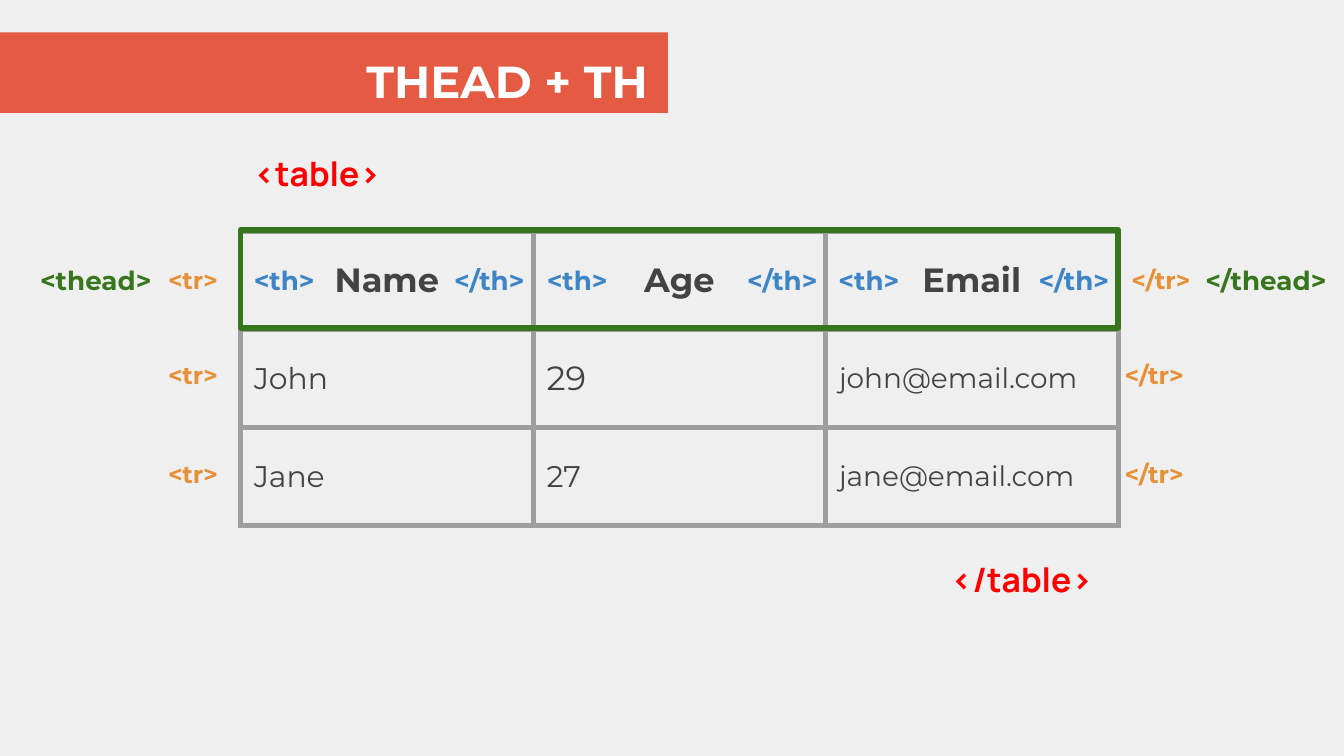
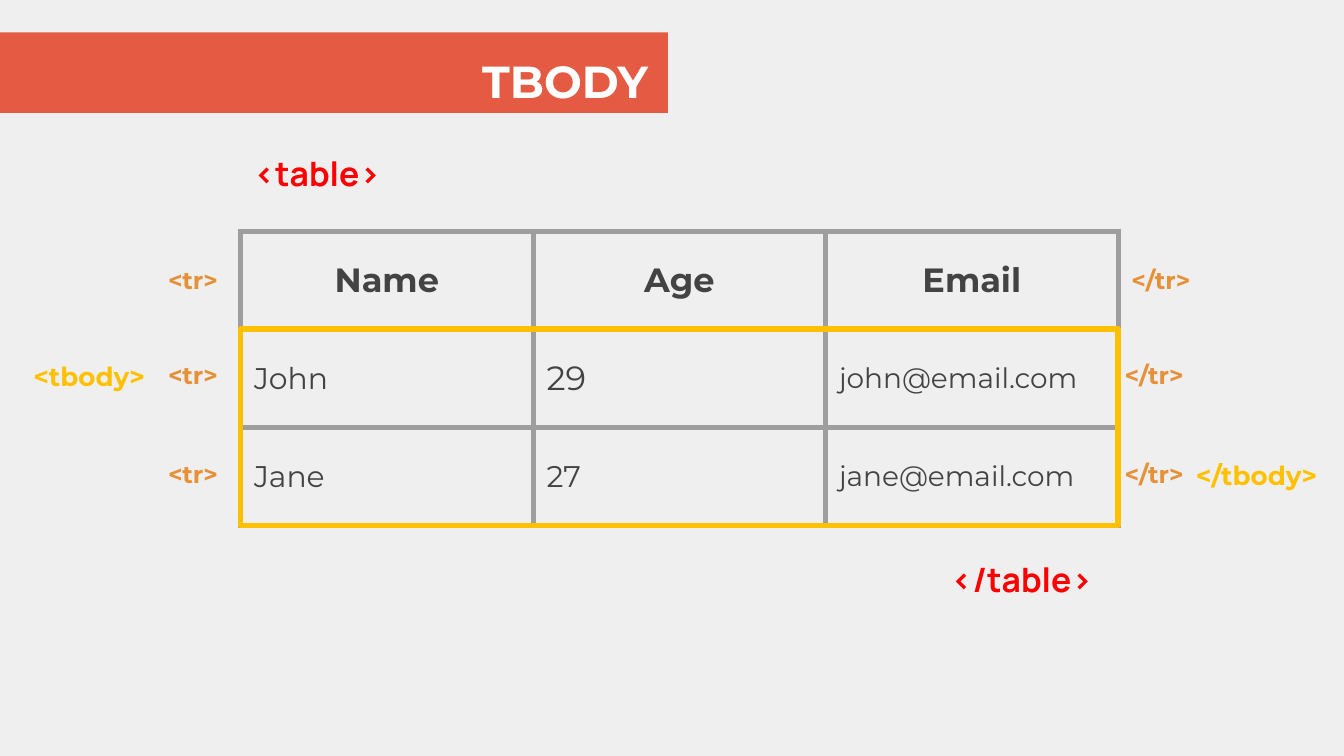
from collections import namedtuple

from lxml import etree
from pptx import Presentation
from pptx import util as u
from pptx.dml.color import RGBColor
from pptx.enum import shapes, text
from pptx.oxml.ns import qn

PX = 9144  # 100 px to the inch
SLIDE_W = 1000
Box = namedtuple("Box", "x y w h")

BACKGROUND, BAND, WHITE = "EFEFEF", "E55A43", "FFFFFF"
RED, ORANGE, GREEN, BLUE, YELLOW = "FF0000", "E69138", "38761D", "3D85C6", "FFC000"
GRID, INK = "9E9E9E", "434343"
BODY_FONT, TABLE_TAG_FONT = "Montserrat", "Manrope"
LEFT, CENTER, RIGHT = text.PP_ALIGN.LEFT, text.PP_ALIGN.CENTER, text.PP_ALIGN.RIGHT

TITLE = Box(0, 24, 497, 60)
GRID_BOX = Box(179, 172, 653, 219)
HEADERS = ["Name", "Age", "Email"]
PEOPLE = [
    [("John", 16), ("29", 18), ("john@email.com", 15)],
    [("Jane", 16), ("27", 16), ("jane@email.com", 15)],
]
COLS, ROWS = len(HEADERS), len(PEOPLE) + 1
ROW_H = GRID_BOX.h // ROWS
TAG_H = 41
TAG_TOPS = [15, 86, 160]  # one per table row, below the table's top


def px(n):
    return u.Emu(n * PX)


def emus(box):
    return [px(n) for n in box]


def rgb(hex_string):
    return RGBColor.from_string(hex_string)


def write(tf, words, size, color, bold=True, align=LEFT, font=BODY_FONT):
    p = tf.paragraphs[0]
    p.alignment = align
    r = p.add_run()
    r.text = words
    r.font.name = font
    r.font.size = u.Pt(size)
    r.font.bold = bold
    r.font.color.rgb = rgb(color)


def set_margins(target, left, top, right, bottom):
    target.margin_left, target.margin_top = px(left), px(top)
    target.margin_right, target.margin_bottom = px(right), px(bottom)


def add_title(s, words):
    sp = s.shapes.title
    sp.left, sp.top, sp.width, sp.height = emus(TITLE)
    sp.fill.solid()
    sp.fill.fore_color.rgb = rgb(BAND)
    tf = sp.text_frame
    tf.word_wrap = True
    tf.auto_size = text.MSO_AUTO_SIZE.NONE
    tf.vertical_anchor = text.MSO_ANCHOR.BOTTOM
    set_margins(tf, 75, 4, 15, 4)
    write(tf, words, 24, WHITE, align=RIGHT)


def add_tag(s, box, words, size, color, **style):
    tf = s.shapes.add_textbox(*emus(box)).text_frame
    tf.word_wrap = True
    set_margins(tf, 10, 10, 10, 10)
    write(tf, words, size, color, **style)


def add_cell_borders(cell):
    pr = cell._tc.get_or_add_tcPr()
    for i, side in enumerate(("a:lnL", "a:lnR", "a:lnT", "a:lnB")):
        ln = etree.Element(qn(side), w=str(u.Pt(3)))
        fill = etree.SubElement(ln, qn("a:solidFill"))
        etree.SubElement(fill, qn("a:srgbClr"), val=GRID)
        pr.insert(i, ln)


def add_people_table(s, box):
    table = s.shapes.add_table(ROWS, COLS, *emus(box)).table
    table.first_row = table.horz_banding = False
    for col in table.columns:
        col.width = px(box.w) // COLS
    for row in table.rows:
        row.height = px(ROW_H)
    rows = [[(name, 18) for name in HEADERS]] + PEOPLE
    for i, row in enumerate(rows):
        for j, (words, size) in enumerate(row):
            cell = table.cell(i, j)
            cell.fill.background()
            cell.vertical_anchor = text.MSO_ANCHOR.MIDDLE
            set_margins(cell, 10, 10, 10, 10)
            write(cell.text_frame, words, size, INK, bold=i == 0,
                  align=LEFT if i else CENTER)
            add_cell_borders(cell)


def add_table_tags(s, box):
    style = dict(size=18, color=RED, font=TABLE_TAG_FONT)
    add_tag(s, Box(box.x, box.y - 68, 216, 47), "<table>", **style)
    add_tag(s, Box(box.x + box.w - 225, box.y + box.h + 15, 216, 47), "</table>",
            align=RIGHT, **style)


def add_row_tags(s, box):
    for top, shift in zip(TAG_TOPS, (0, -5, -5)):
        y = box.y + top
        add_tag(s, Box(box.x - 164, y, 157, TAG_H), "<tr>", 13, ORANGE, align=RIGHT)
        add_tag(s, Box(box.x + box.w + shift, y, 69, TAG_H), "</tr>", 13, ORANGE)


def add_header_cell_tags(s, box):
    for i in range(COLS):
        x, y = box.x + round(i * box.w / COLS), box.y + TAG_TOPS[0]
        add_tag(s, Box(x, y, 69, TAG_H), "<th>", 14, BLUE)
        add_tag(s, Box(x + 149, y, 82, TAG_H), "</th>", 14, BLUE)


def add_section(s, box, name, color, first, last, open_x, close_x):
    """Outline table rows first to last and put the section's tags beside them."""
    for words, x, w, row in ((f"<{name}>", open_x, 104, first),
                             (f"</{name}>", close_x, 120, last)):
        add_tag(s, Box(x, box.y + TAG_TOPS[row], min(w, SLIDE_W - x), TAG_H),
                words, 14, color)
    outline = Box(box.x, box.y + first * ROW_H - (first == 0),
                  box.w, (last - first + 1) * ROW_H)
    sp = s.shapes.add_shape(shapes.MSO_SHAPE.RECTANGLE, *emus(outline))
    sp.shadow.inherit = False
    sp.fill.background()
    sp.line.color.rgb = rgb(color)
    sp.line.width = u.Pt(3)


def add_table_slide(prs, title):
    s = prs.slides.add_slide(prs.slide_layouts[5])
    add_title(s, title)
    add_table_tags(s, GRID_BOX)
    add_row_tags(s, GRID_BOX)
    add_people_table(s, GRID_BOX)
    return s


def main():
    prs = Presentation()
    prs.slide_width = px(SLIDE_W)
    prs.slide_height = prs.slide_width * 9 // 16
    fill = prs.slide_master.background.fill
    fill.solid()
    fill.fore_color.rgb = rgb(BACKGROUND)

    s = add_table_slide(prs, "THEAD + TH")
    add_section(s, GRID_BOX, "thead", GREEN, 0, 0, open_x=20, close_x=887)
    add_header_cell_tags(s, GRID_BOX)

    s = add_table_slide(prs, "TBODY")
    add_section(s, GRID_BOX, "tbody", YELLOW, 1, 2, open_x=15, close_x=880)

    prs.save("out.pptx")


if __name__ == "__main__":
    main()
